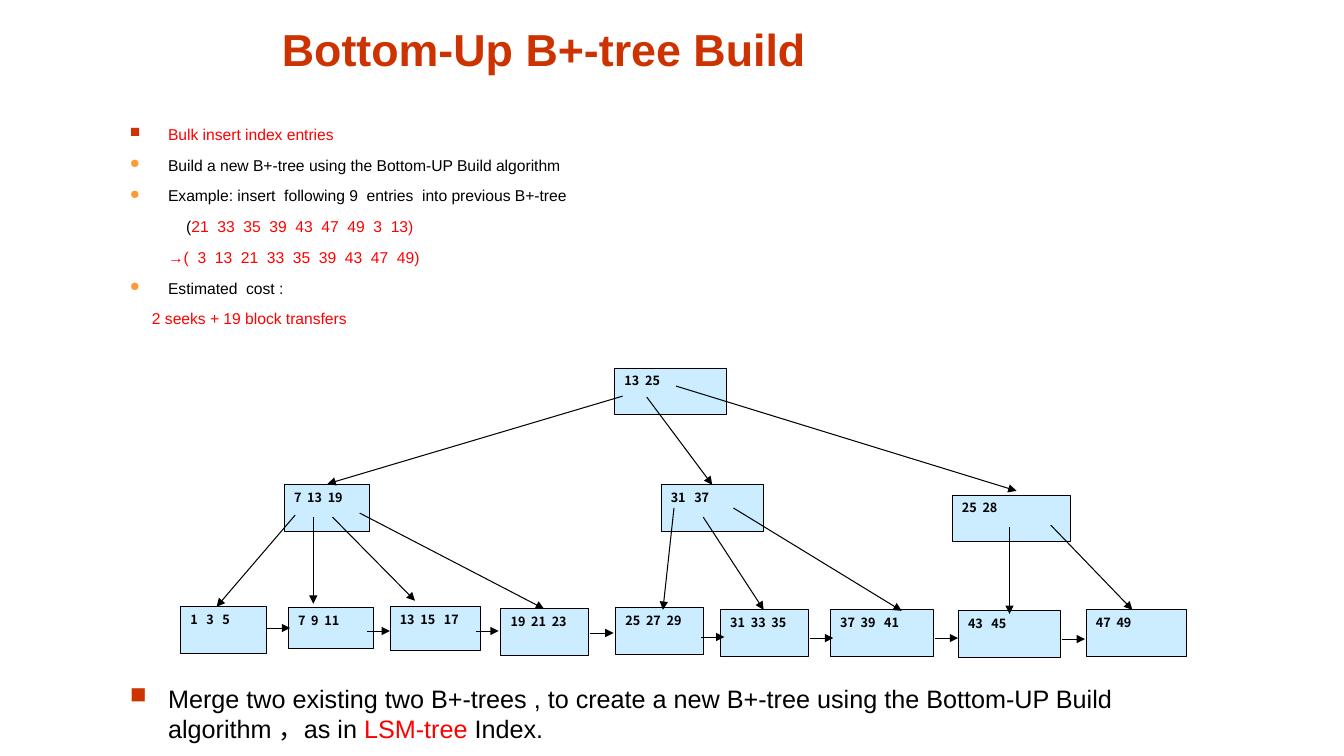
import pptx
import pptx.dml.color
import pptx.enum.shapes
import pptx.enum.text
import pptx.oxml
import pptx.oxml.ns
import pptx.util
from pptx.util import Inches

BLACK, RED, RUST, ORANGE, PALE_BLUE = "000000", "FF0000", "CC3300", "FF9933", "CCECFF"
SQUARE = ("■", RUST, 90)
DOT = ("●", ORANGE, 80)


def color(value):
    return pptx.dml.color.RGBColor.from_string(value)


def append_xml(parent, xml):
    namespace = pptx.oxml.ns.nsdecls("a")
    parent.append(pptx.oxml.parse_xml(xml.replace("/>", f" {namespace}/>", 1)))


class TreeSlide:
    text_font = "Arial"
    node_font = "Noto Sans CJK SC"

    def __init__(self, presentation):
        self.slide = presentation.slides.add_slide(presentation.slide_layouts[5])
        self.shapes = self.slide.shapes

    def style(self, paragraph, name, size, value, bold=False):
        font = paragraph.font
        font.name = name
        font.size = pptx.util.Pt(size)
        font.bold = bold
        font.color.rgb = color(value)

    def title(self, text, left, top, width, height):
        title = self.shapes.title
        title.left, title.top = Inches(left), Inches(top)
        title.width, title.height = Inches(width), Inches(height)
        frame = title.text_frame
        frame.text = text
        frame.vertical_anchor = pptx.enum.text.MSO_ANCHOR.BOTTOM
        paragraph = frame.paragraphs[0]
        paragraph.alignment = pptx.enum.text.PP_ALIGN.CENTER
        self.style(paragraph, self.text_font, 32, RUST, True)

    def outline(self, items, left, top, width, height, size):
        box = self.shapes.add_textbox(Inches(left), Inches(top), Inches(width), Inches(height))
        frame = box.text_frame
        frame.word_wrap = True
        for index, (bullet, margin, runs) in enumerate(items):
            paragraph = frame.add_paragraph() if index else frame.paragraphs[0]
            properties = paragraph._p.get_or_add_pPr()
            properties.set("marL", str(Inches(margin)))
            properties.set("indent", str(Inches(-0.38 if bullet else 0)))
            if bullet:
                character, bullet_color, percent = bullet
                clear = pptx.oxml.parse_xml(
                    f'<a:buClr {pptx.oxml.ns.nsdecls("a")}><a:srgbClr val="{bullet_color}"/></a:buClr>')
                properties.append(clear)
                append_xml(properties, f'<a:buSzPct val="{percent * 1000}"/>')
                append_xml(properties, f'<a:buChar char="{character}"/>')
            else:
                append_xml(properties, "<a:buNone/>")
            if index:
                paragraph.space_before = pptx.util.Pt(8.5)
            self.style(paragraph, self.text_font, size, runs[0][1])
            for text, value in runs:
                run = paragraph.add_run()
                run.text = text
                if value != runs[0][1]:
                    run.font.color.rgb = color(value)

    def node(self, text, left, top, width, height=0.46):
        shape = self.shapes.add_shape(
            pptx.enum.shapes.MSO_SHAPE.RECTANGLE,
            Inches(left), Inches(top), Inches(width), Inches(height))
        shape.shadow.inherit = False
        shape.fill.solid()
        shape.fill.fore_color.rgb = color(PALE_BLUE)
        shape.line.color.rgb = color(BLACK)
        shape.line.width = pptx.util.Pt(0.5)
        frame = shape.text_frame
        frame.word_wrap = True
        frame.vertical_anchor = pptx.enum.text.MSO_ANCHOR.TOP
        frame.text = text
        paragraph = frame.paragraphs[0]
        paragraph.alignment = pptx.enum.text.PP_ALIGN.LEFT
        self.style(paragraph, self.node_font, 9, BLACK, True)

    def arrow(self, start_x, start_y, end_x, end_y, width=0.75):
        connector = self.shapes.add_connector(
            pptx.enum.shapes.MSO_CONNECTOR.STRAIGHT,
            Inches(start_x), Inches(start_y), Inches(end_x), Inches(end_y))
        connector.line.color.rgb = color(BLACK)
        connector.line.width = pptx.util.Pt(width)
        append_xml(connector.line._get_or_add_ln(), '<a:tailEnd type="triangle"/>')
        append_xml(connector._element.spPr, "<a:effectLst/>")


STEPS = [
    (SQUARE, 0.38, [("Bulk insert index entries", RED)]),
    (DOT, 0.38, [("Build a new B+-tree using the Bottom-UP Build algorithm", BLACK)]),
    (DOT, 0.38, [("Example: insert  following 9  entries  into previous B+-tree", BLACK)]),
    (None, 0.56, [("(", BLACK), ("21  33  35  39  43  47  49  3  13)", RED)]),
    (None, 0.38, [("→(  3  13  21  33  35  39  43  47  49)", RED)]),
    (DOT, 0.38, [("Estimated  cost :", BLACK)]),
    (None, 0.22, [("2 seeks + 19 block transfers", RED)]),
]
MERGE = [
    (SQUARE, 0.38, [
        ("Merge two existing two B+-trees , to create a new B+-tree using the "
         "Bottom-UP Build algorithm ，as in ", BLACK),
        ("LSM-tree", RED),
        (" Index.", BLACK),
    ]),
]
INNER_NODES = [
    ("13  25", 6.1, 3.65, 1.11),
    ("7  13  19", 2.82, 4.81, 0.85),
    ("31   37", 6.56, 4.81, 1.02),
    ("25  28", 9.45, 4.91, 1.17),
]
LEAVES = [
    ("1   3   5", 1.79, 6.02, 0.85),
    ("7  9  11", 2.86, 6.03, 0.85, 0.4),
    ("13  15   17", 3.87, 6.02, 0.9, 0.43),
    ("19  21  23", 4.97, 6.04, 0.87),
    ("25  27  29", 6.11, 6.03, 0.87),
    ("31  33  35", 7.15, 6.05, 0.87),
    ("37  39   41", 8.24, 6.05, 1.02),
    ("43   45", 9.51, 6.06, 1.02),
    ("47  49", 10.78, 6.05, 1),
]
LEAF_LINKS = [
    (2.65, 6.23), (3.64, 6.26), (4.72, 6.26), (5.86, 6.28),
    (6.96, 6.32), (8.04, 6.33), (9.28, 6.33), (10.54, 6.34),
]
CHILD_POINTERS = [
    (6.18, 3.93, 3.25, 4.8), (6.42, 3.94, 7.07, 4.81), (6.71, 3.83, 10.09, 4.87),
    (2.93, 5.11, 2.15, 6.02), (3.11, 5.13, 3.11, 5.99),
    (3.3, 5.13, 4.12, 5.96), (3.57, 5.09, 5.4, 6.04),
    (6.69, 5.04, 6.58, 6.05), (6.98, 5.13, 7.58, 6.05), (7.28, 5.04, 8.95, 6.06),
    (10.02, 5.23, 10.02, 6.09), (10.43, 5.21, 11.24, 6.05),
]


def main():
    presentation = pptx.Presentation()
    presentation.slide_width = Inches(13.34)
    presentation.slide_height = Inches(7.5)
    tree = TreeSlide(presentation)
    tree.title("Bottom-Up B+-tree Build", 1.12, 0.13, 8.56, 0.67)
    tree.outline(STEPS, 1.19, 1.19, 9.36, 2.07, 11.2)
    for node in INNER_NODES + LEAVES:
        tree.node(*node)
    for left, top in LEAF_LINKS:
        tree.arrow(left, top, left + 0.23, top, 0.5)
    for pointer in CHILD_POINTERS:
        tree.arrow(*pointer)
    tree.outline(MERGE, 1.19, 6.73, 10.39, 0.71, 18)
    presentation.save("out.pptx")


if __name__ == "__main__":
    main()
